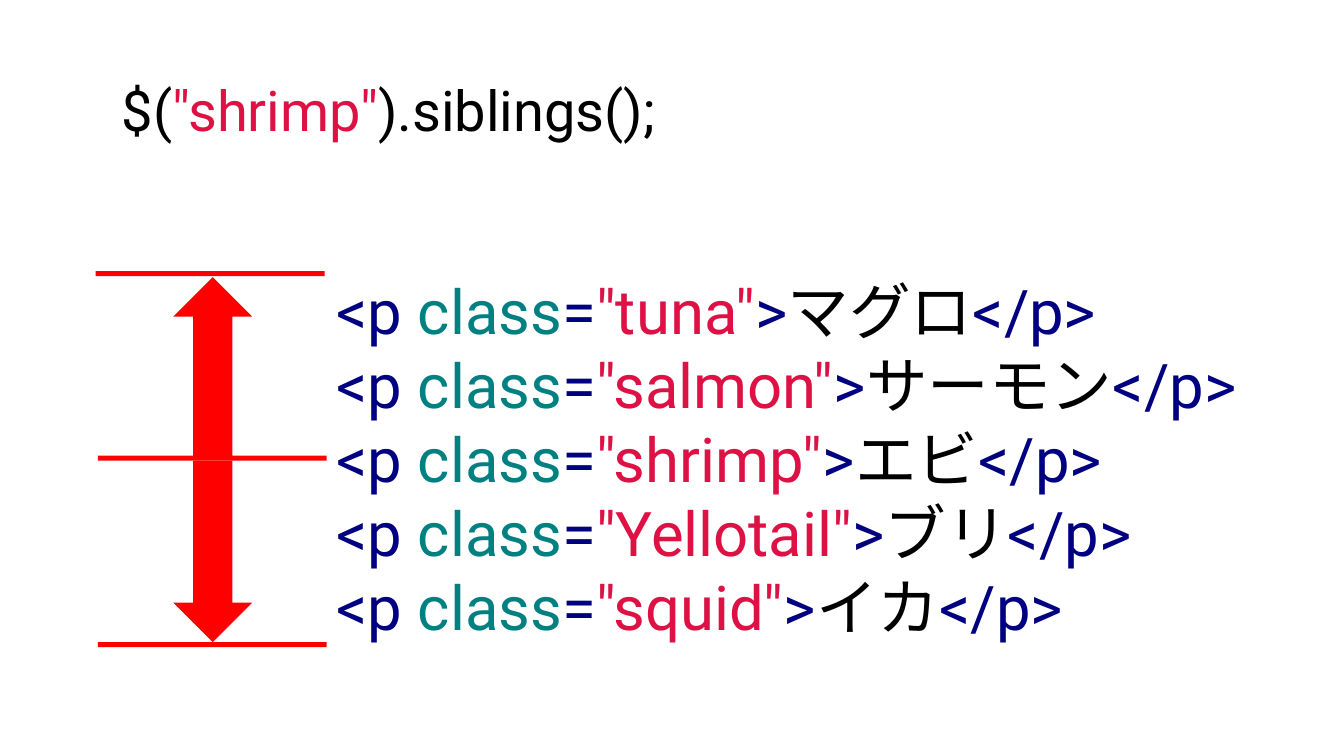
import dataclasses

import pptx
import pptx.dml.color
import pptx.enum.shapes
import pptx.enum.text
import pptx.util

Inches = pptx.util.Inches
SHAPE = pptx.enum.shapes.MSO_SHAPE


@dataclasses.dataclass(frozen=True)
class Theme:
    """Colours, font and type sizes of the slide."""
    font: str = "Roboto"
    call_size: int = 40
    markup_size: int = 44
    text: str = "000000"
    tag: str = "000080"
    attribute: str = "008080"
    string: str = "DD1144"
    marker: str = "FF0000"


class SlideBuilder:
    """Draws themed elements on one slide."""

    def __init__(self, s, theme):
        self.s = s
        self.theme = theme

    def code(self, left, top, width, height, lines, size, wrap=True):
        """Add a text box of lines made of (text, colour) pieces."""
        box = self.s.shapes.add_textbox(
            Inches(left), Inches(top), Inches(width), Inches(height))
        tf = box.text_frame
        tf.word_wrap = wrap
        tf.auto_size = pptx.enum.text.MSO_AUTO_SIZE.SHAPE_TO_FIT_TEXT
        for i, line in enumerate(lines):
            p = tf.add_paragraph() if i else tf.paragraphs[0]
            for text, colour in line:
                r = p.add_run()
                r.text = text
                r.font.name = self.theme.font
                r.font.size = pptx.util.Pt(size)
                r.font.color.rgb = pptx.dml.color.RGBColor.from_string(colour)

    def marker(self, kind, left, top, width, height, rotation=0):
        """Add a solid shape in the marker colour."""
        sp = self.s.shapes.add_shape(
            kind, Inches(left), Inches(top), Inches(width), Inches(height))
        sp.rotation = rotation
        sp.shadow.inherit = False
        sp.fill.solid()
        sp.fill.fore_color.rgb = pptx.dml.color.RGBColor.from_string(self.theme.marker)
        sp.line.fill.background()

    def bar(self, left, top):
        """Add a horizontal boundary bar."""
        self.marker(SHAPE.RECTANGLE, left, top, 2.27, 0.05)

    def arrow(self, left, top, rotation):
        """Add a block arrow turned to the given angle."""
        self.marker(SHAPE.RIGHT_ARROW, left, top, 1.8, 0.78, rotation)


def main():
    """Build and save the slide."""
    prs = pptx.Presentation()
    prs.slide_width, prs.slide_height = Inches(13.33), Inches(7.5)
    theme = Theme()
    slide = SlideBuilder(prs.slides.add_slide(prs.slide_layouts[6]), theme)

    items = [("tuna", "マグロ"), ("salmon", "サーモン"), ("shrimp", "エビ"),
             ("Yellotail", "ブリ"), ("squid", "イカ")]
    markup = [[("<p ", theme.tag), ("class", theme.attribute), ("=", theme.tag),
               (f'"{name}"', theme.string), (">", theme.tag),
               (label, theme.text), ("</p>", theme.tag)]
              for name, label in items]
    slide.code(3.24, 2.66, 10.09, 3.8, markup, theme.markup_size)

    call = [("$(", theme.text), ('"shrimp"', theme.string),
            (").siblings();", theme.text)]
    slide.code(1.11, 0.7, 5.55, 0.77, [call], theme.call_size, wrap=False)

    for top, rotation in ((5.08, 90), (3.26, 270)):
        slide.arrow(1.21, top, rotation)
    for left, top in ((0.95, 2.69), (0.97, 4.52), (0.97, 6.37)):
        slide.bar(left, top)

    prs.save("out.pptx")


if __name__ == "__main__":
    main()
